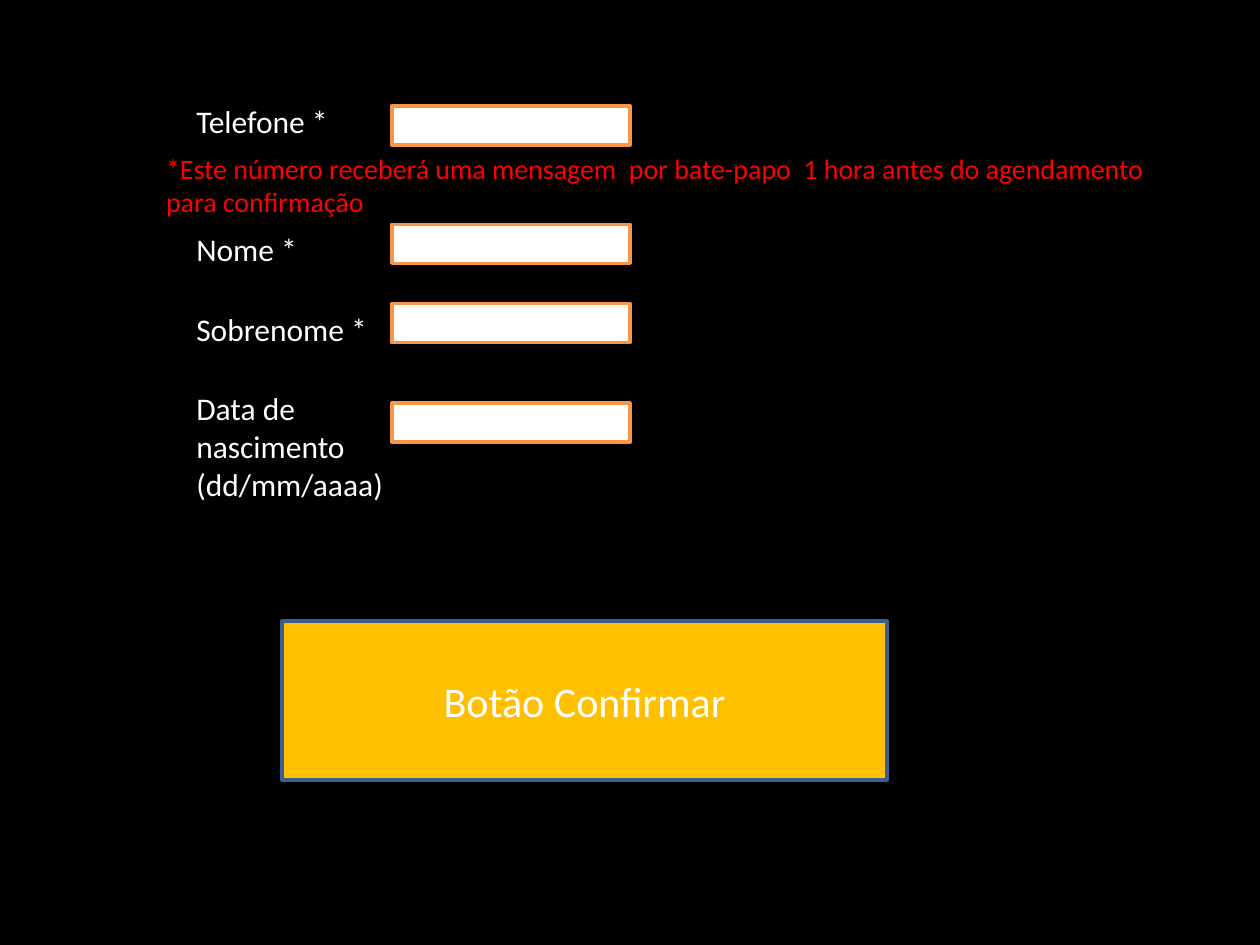
from pptx import Presentation
from pptx.dml.color import RGBColor
from pptx.enum import shapes, text
from pptx.util import Inches, Pt

HUES = {
    "black": "000000",
    "white": "FFFFFF",
    "orange": "F79646",
    "red": "FF0000",
    "gold": "FFC000",
    "blue": "3A5F8C",
}


class Form:
    """Draws form elements on one slide in a shared style."""

    font = "Calibri"

    def __init__(self, slide):
        self.slide = slide

    def hue(self, name):
        return RGBColor.from_string(HUES[name])

    def letter(self, frame, words, size, color):
        frame.word_wrap = True
        para = frame.paragraphs[0]
        para.text = words
        para.font.name = self.font
        para.font.size = Pt(size)
        para.font.color.rgb = self.hue(color)
        return para

    def box(self, place, fill, line):
        rect = self.slide.shapes.add_shape(
            shapes.MSO_SHAPE.RECTANGLE, *map(Inches, place))
        rect.shadow.inherit = False
        rect.fill.solid()
        rect.fill.fore_color.rgb = self.hue(fill)
        rect.line.color.rgb = self.hue(line)
        rect.line.width = Pt(2)
        return rect

    def label(self, place, words, size=18, color="white"):
        area = self.slide.shapes.add_textbox(*map(Inches, place))
        self.letter(area.text_frame, words, size, color)
        area.text_frame.auto_size = text.MSO_AUTO_SIZE.SHAPE_TO_FIT_TEXT

    def field(self, top):
        self.box((3.11, top, 1.89, 0.31), "white", "orange")

    def button(self, place, words):
        rect = self.box(place, "gold", "blue")
        rect.text_frame.vertical_anchor = text.MSO_ANCHOR.MIDDLE
        para = self.letter(rect.text_frame, words, 24, "white")
        para.alignment = text.PP_ALIGN.CENTER


def main():
    deck = Presentation()
    deck.slide_width, deck.slide_height = Inches(10), Inches(7.5)
    form = Form(deck.slides.add_slide(deck.slide_layouts[6]))
    form.box((0, 0, 10, 7.5), "black", "black")

    rows = [
        ("Telefone *", 0.76, 1.57, 0.4, 0.84),
        ("Nome *", 1.78, 1.57, 0.4, 1.78),
        ("Sobrenome *", 2.41, 1.57, 0.4, 2.41),
        ("Data de nascimento (dd/mm/aaaa)", 3.04, 1.97, 1.01, 3.2),
    ]
    for words, top, width, height, entry in rows:
        form.label((1.46, top, width, height), words)
        form.field(entry)

    form.label(
        (1.22, 1.15, 8.03, 0.64),
        "*Este número receberá uma mensagem  por bate-papo  1 hora antes "
        "do agendamento para confirmação",
        16, "red")
    form.button((2.24, 4.93, 4.8, 1.26), "Botão Confirmar")
    deck.save("out.pptx")


if __name__ == "__main__":
    main()
